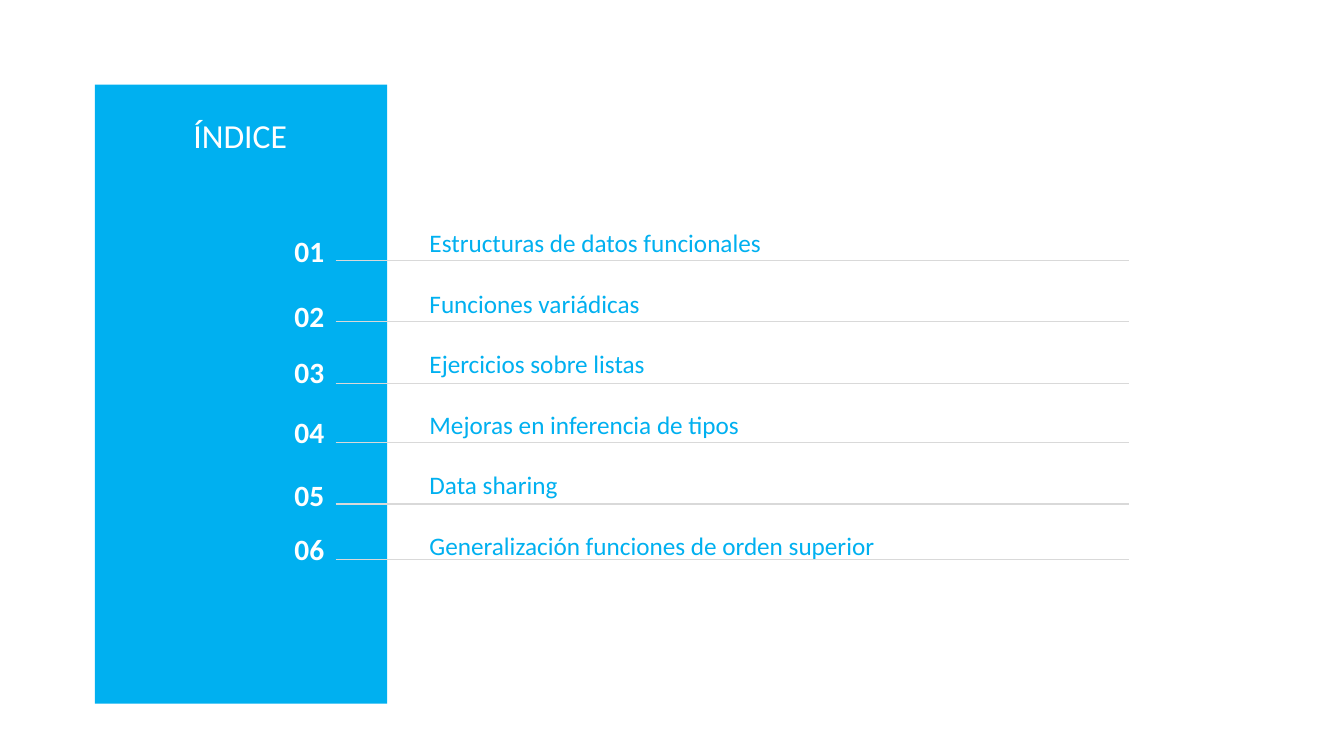
from lxml.etree import SubElement
from pptx import Presentation
from pptx.dml.color import RGBColor
from pptx.enum.shapes import MSO_CONNECTOR, MSO_SHAPE
from pptx.oxml.ns import qn
from pptx.util import Inches, Pt

BLUE = "00B0F0"
WHITE = "FFFFFF"
GREY = "D9D9D9"

TOPICS = [
    "Estructuras de datos funcionales",
    "Funciones variádicas",
    "Ejercicios sobre listas",
    "Mejoras en inferencia de tipos",
    "Data sharing",
    "Generalización funciones de orden superior",
]
NUMBER_TOPS = [0, 0.65, 1.2, 1.8, 2.42, 2.96]
RULE_TOPS = [0.34, 0.95, 1.56, 2.15, 2.76, 3.31]


def color(value):
    return RGBColor.from_string(value)


def add_text(page, left, top, width, height, lines, size, ink,
             bold=False, gap=0, margins=(0.13, 0.07)):
    box = page.shapes.add_textbox(
        Inches(left), Inches(top), Inches(width), Inches(height))
    frame = box.text_frame
    frame.word_wrap = True
    frame.margin_left = frame.margin_right = Inches(margins[0])
    frame.margin_top = frame.margin_bottom = Inches(margins[1])
    frame.text = "\n".join(lines)
    for para in frame.paragraphs:
        para.space_after = Pt(gap)
        para.font.name = "Calibri"
        para.font.size = Pt(size)
        para.font.bold = bold
        para.font.color.rgb = color(ink)


def add_rule(page, left, top, width):
    rule = page.shapes.add_connector(
        MSO_CONNECTOR.STRAIGHT, Inches(left), Inches(top),
        Inches(left + width), Inches(top))
    rule.line.color.rgb = color(GREY)
    rule.line.width = Pt(0.75)
    SubElement(rule._element.spPr, qn("a:effectLst"))


def add_panel(page, left, top, width, height):
    panel = page.shapes.add_shape(
        MSO_SHAPE.RECTANGLE, Inches(left), Inches(top),
        Inches(width), Inches(height))
    panel.shadow.inherit = False
    panel.fill.solid()
    panel.fill.fore_color.rgb = color(BLUE)
    panel.line.fill.background()
    add_text(page, left + 0.88, top + 0.25, 1.14, 0.5, ["ÍNDICE"], 24, WHITE,
             margins=(0.1, 0.05))


def add_topics(page, left, top, width, height):
    add_text(page, left + 1.34, top - 0.05, width - 1.34, height,
             TOPICS, 18, BLUE, gap=21.6)
    for rule_top in RULE_TOPS:
        add_rule(page, left + 0.54, top + rule_top, 7.87)
    for number, number_top in enumerate(NUMBER_TOPS, start=1):
        add_text(page, left, top + number_top, 0.69, 0.48,
                 [f"{number:02}"], 21, WHITE, bold=True)


def main():
    deck = Presentation()
    deck.slide_width = Inches(13.33)
    deck.slide_height = Inches(7.5)
    page = deck.slides.add_slide(deck.slide_layouts[6])
    add_panel(page, 0.94, 0.84, 2.9, 6.14)
    add_topics(page, 2.79, 2.24, 9.2, 4.56)
    deck.save("out.pptx")


if __name__ == "__main__":
    main()
